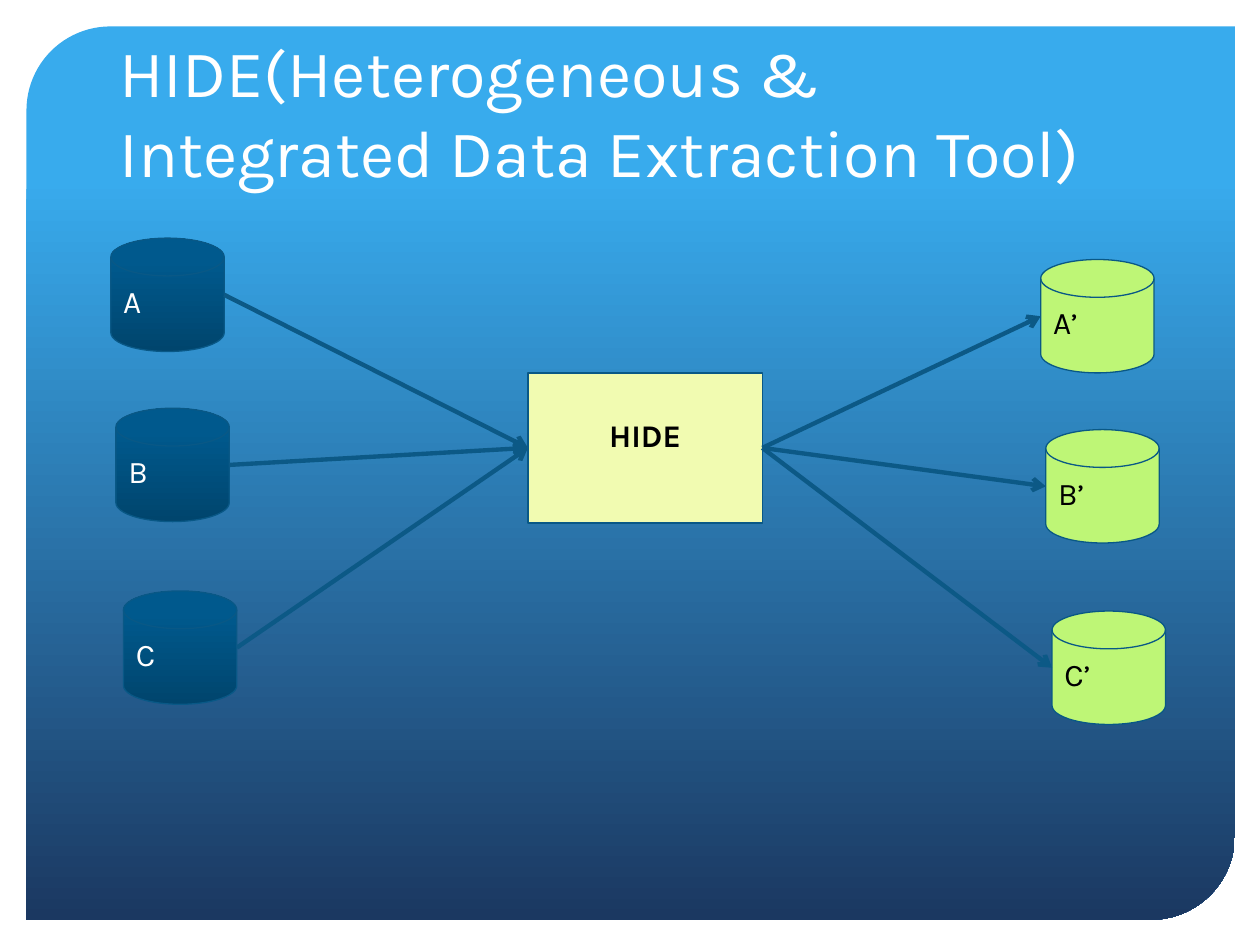
from copy import deepcopy

from lxml import etree
from pptx import Presentation
from pptx.dml.color import RGBColor
from pptx.enum import shapes, text
from pptx.oxml.ns import qn
from pptx.util import Inches, Pt

FONT = "Karla"
COLORS = {"white": "FFFFFF", "black": "000000", "outline": "095886",
          "arrow": "0C5986", "hub": "F1FBB1", "target": "BEF676"}
PANEL_STOPS = [(17, "38ABED"), (100, "1B3861")]
SOURCE_STOPS = [(0, "00456D"), (80, "00598D"), (100, "005A8E")]

TITLE = "HIDE(Heterogeneous & Integrated Data Extraction Tool)"
HUB = ("HIDE", 4.19, 2.96, 1.86, 1.19)
SOURCES = [("A", 0.88, 1.89), ("B", 0.92, 3.24), ("C", 0.98, 4.69)]
TARGETS = [("A’", 8.26, 2.06), ("B’", 8.3, 3.41), ("C’", 8.35, 4.85)]
DISK = 0.9

prs = Presentation()
prs.slide_width, prs.slide_height = Inches(10), Inches(7.5)
slide = prs.slides.add_slide(prs.slide_layouts[6])
KIND = shapes.MSO_SHAPE


def rgb(name):
    return RGBColor.from_string(COLORS[name])


def set_gradient(shape, stops, angle):
    shape.fill.gradient()
    shape.fill.gradient_angle = angle
    stop_list = shape._element.spPr.find(".//" + qn("a:gsLst"))
    while len(stop_list) < len(stops):
        stop_list.append(deepcopy(stop_list[0]))
    for stop, (percent, color) in zip(shape.fill.gradient_stops, stops):
        stop.position = percent / 100
        stop.color.rgb = RGBColor.from_string(color)


def write(shape, words, size, color, anchor, align=text.PP_ALIGN.LEFT, bold=False):
    frame = shape.text_frame
    frame.word_wrap = True
    frame.vertical_anchor = anchor
    frame.text = words
    paragraph = frame.paragraphs[0]
    paragraph.alignment = align
    font = paragraph.font
    font.name, font.size, font.bold = FONT, Pt(size), bold
    font.color.rgb = rgb(color)


def add_node(kind, left, top, width, height, fill=None):
    node = slide.shapes.add_shape(kind, *map(Inches, (left, top, width, height)))
    node.shadow.inherit = False
    if fill:
        node.fill.solid()
        node.fill.fore_color.rgb = rgb(fill)
    node.line.color.rgb = rgb("outline")
    node.line.width = Pt(0.75)
    return node


def add_disk(label, left, top, color, fill=None):
    disk = add_node(KIND.FLOWCHART_MAGNETIC_DISK, left, top, DISK, DISK, fill)
    write(disk, label, 18, color, text.MSO_ANCHOR.TOP)
    return disk


def add_arrow(*ends):
    arrow = slide.shapes.add_connector(shapes.MSO_CONNECTOR.STRAIGHT, *map(Inches, ends))
    arrow.line.color.rgb = rgb("arrow")
    arrow.line.width = Pt(2.5)
    etree.SubElement(arrow.line._get_or_add_ln(), qn("a:tailEnd"), type="arrow")
    etree.SubElement(arrow._element.spPr, qn("a:effectLst"))


panel = add_node(KIND.ROUND_2_DIAG_RECTANGLE, 0.21, 0.21, 9.59, 7.09)
panel.adjustments[0], panel.adjustments[1] = 0.094, 0
panel.line.fill.background()
set_gradient(panel, PANEL_STOPS, 270)

title = slide.shapes.add_textbox(*map(Inches, (0.85, 0.42, 8.29, 1.14)))
write(title, TITLE, 38, "white", text.MSO_ANCHOR.BOTTOM)

hub_label, hub_left, hub_top, hub_width, hub_height = HUB
hub_right, hub_middle = hub_left + hub_width, hub_top + hub_height / 2
hub = add_node(KIND.FLOWCHART_PROCESS, *HUB[1:], "hub")
write(hub, hub_label, 18, "black", text.MSO_ANCHOR.TOP, text.PP_ALIGN.CENTER, True)
hub.text_frame.margin_top = Inches(0.34)

for label, left, top in SOURCES:
    set_gradient(add_disk(label, left, top, "white"), SOURCE_STOPS, 90)
    add_arrow(left + DISK, top + DISK / 2, hub_left, hub_middle)

for label, left, top in TARGETS:
    add_disk(label, left, top, "black", "target")
    add_arrow(hub_right, hub_middle, left, top + DISK / 2)

prs.save("out.pptx")
